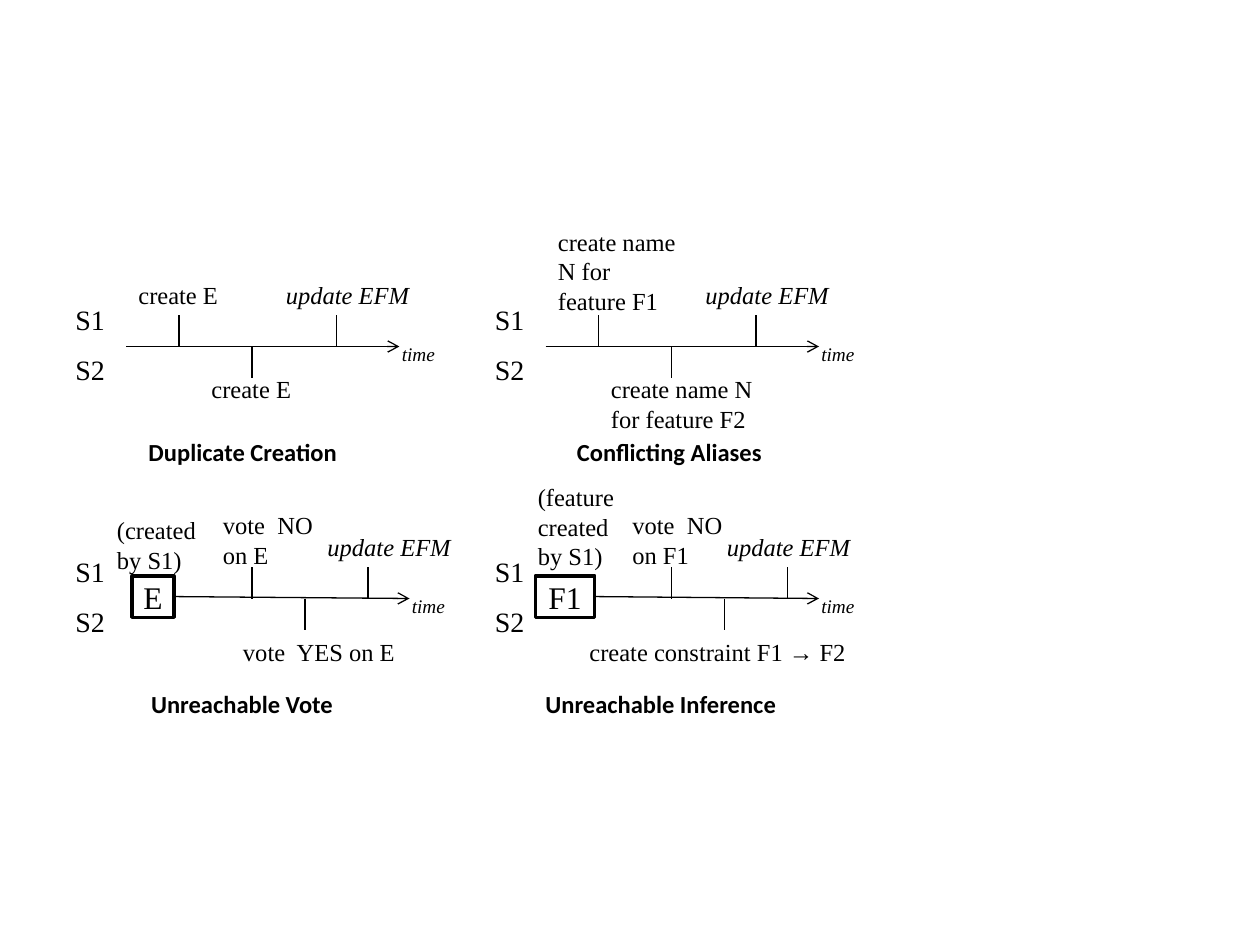
from pptx import Presentation, util as u
from pptx.dml.color import RGBColor
from pptx.enum import shapes, text
from pptx.oxml.ns import qn
from lxml import etree

BLACK = RGBColor(0, 0, 0)
WHITE = RGBColor(255, 255, 255)
SERIF, SANS = "Times New Roman", "Calibri"
TICK = 0.25
LINE_HEIGHTS = {1: 0.34, 2: 0.57, 3: 0.81}

# Positions are relative to the panel's left edge and its time axis.
# title: text, left, width; axis: start, end; state: text, left, width
# events: text, left, top, width, lines, tick position, tick side (-1 up, 1 down)
# notes: text, left, top, width, lines
PANELS = [
    dict(left=0.5, axis_y=2.75, axis=(0.5, 2.67), state=None, notes=[],
         title=("Duplicate Creation", 0.58, 1.71),
         events=[("create E", 0.5, -0.58, 0.92, 1, 0.92, -1),
                 ("create E", 1.08, 0.17, 0.92, 1, 1.5, 1),
                 ("update EFM", 1.67, -0.58, 1.58, 1, 2.17, -1)]),
    dict(left=3.83, axis_y=2.75, axis=(0.5, 2.67), state=None, notes=[],
         title=("Conflicting Aliases", 0.65, 1.69),
         events=[("create name N for feature F1", 0.5, -1, 1.17, 3, 0.92, -1),
                 ("create name N for feature F2", 0.92, 0.17, 1.42, 2, 1.5, 1),
                 ("update EFM", 1.67, -0.58, 1.25, 1, 2.17, -1)]),
    dict(left=0.5, axis_y=4.75, axis=(0.89, 2.75), state=("E", 0.55, 0.33),
         title=("Unreachable Vote", 0.6, 1.65),
         notes=[("(created by S1)", 0.33, -0.71, 1, 2)],
         events=[("vote  NO on E", 1.17, -0.75, 0.92, 2, 1.5, -1),
                 ("vote  YES on E", 1.33, 0.26, 1.42, 1, 1.92, 1),
                 ("update EFM", 2, -0.58, 1.25, 1, 2.42, -1)]),
    dict(left=3.83, axis_y=4.75, axis=(0.89, 2.67), state=("F1", 0.42, 0.47),
         title=("Unreachable Inference", 0.4, 2.04),
         notes=[("(feature created by S1)", 0.34, -0.97, 1, 3)],
         events=[("vote  NO on F1", 1.09, -0.75, 0.92, 2, 1.5, -1),
                 ("create constraint F1 → F2", 0.75, 0.26, 2.25, 1, 1.92, 1),
                 ("update EFM", 1.84, -0.58, 1.25, 1, 2.42, -1)]),
]

prs = Presentation()
prs.slide_width, prs.slide_height = u.Inches(10), u.Inches(7.5)
slide = prs.slides.add_slide(prs.slide_layouts[6])


def write(frame, words, size, font=SERIF, bold=False, italic=False):
    frame.text = words
    style = frame.paragraphs[0].runs[0].font
    style.name, style.size = font, u.Pt(size)
    style.bold, style.italic = bold, italic
    style.color.rgb = BLACK


def add_label(words, x, y, w, h, size=14, wrap=True, **style):
    frame = slide.shapes.add_textbox(*map(u.Inches, (x, y, w, h))).text_frame
    write(frame, words, size, **style)
    frame.word_wrap = wrap
    frame.auto_size = text.MSO_AUTO_SIZE.SHAPE_TO_FIT_TEXT


def add_line(x1, y1, x2, y2, arrow=False):
    line = slide.shapes.add_connector(
        shapes.MSO_CONNECTOR.STRAIGHT, *map(u.Inches, (x1, y1, x2, y2)))
    line.line.color.rgb, line.line.width = BLACK, u.Pt(0.75)
    properties = line._element.spPr
    if arrow:
        etree.SubElement(properties.find(qn("a:ln")), qn("a:tailEnd"), type="arrow")
    etree.SubElement(properties, qn("a:effectLst"))
    return line


def add_state(words, x, y, w, h):
    box = slide.shapes.add_shape(
        shapes.MSO_SHAPE.RECTANGLE, *map(u.Inches, (x, y, w, h)))
    box.shadow.inherit = False
    box.fill.solid()
    box.fill.fore_color.rgb = WHITE
    box.line.color.rgb, box.line.width = BLACK, u.Pt(2)
    write(box.text_frame, words, 18)
    box.text_frame.word_wrap = False
    box.text_frame.vertical_anchor = text.MSO_ANCHOR.MIDDLE
    box.text_frame.paragraphs[0].alignment = text.PP_ALIGN.CENTER
    return box


for panel in PANELS:
    left, axis_y = panel["left"], panel["axis_y"]
    start, end = (left + x for x in panel["axis"])

    # Sites and time axis
    add_label("S1", left, axis_y - 0.4, 0.44, 0.37, size=16, wrap=False)
    add_label("S2", left, axis_y, 0.5, 0.37, size=16)
    axis = add_line(start, axis_y, end, axis_y, arrow=True)
    add_label("time", end - 0.08, axis_y - 0.08, 0.48, 0.29,
              size=11, wrap=False, italic=True)

    # Initial state, from which the axis starts
    if panel["state"]:
        name, x, width = panel["state"]
        axis.begin_connect(add_state(name, left + x, axis_y - 0.18, width, 0.33), 3)

    # Events with their ticks, and notes
    for *_, tick_x, side in panel["events"]:
        top = axis_y + min(side, 0) * TICK
        add_line(left + tick_x, top, left + tick_x, top + TICK)
    for words, x, y, width, lines, *_ in panel["notes"] + panel["events"]:
        add_label(words, left + x, axis_y + y, width, LINE_HEIGHTS[lines],
                  italic=words == "update EFM")

    # Panel title
    title, x, width = panel["title"]
    add_label(title, left + x, axis_y + 0.67, width, 0.34,
              wrap=False, font=SANS, bold=True)

prs.save("out.pptx")
